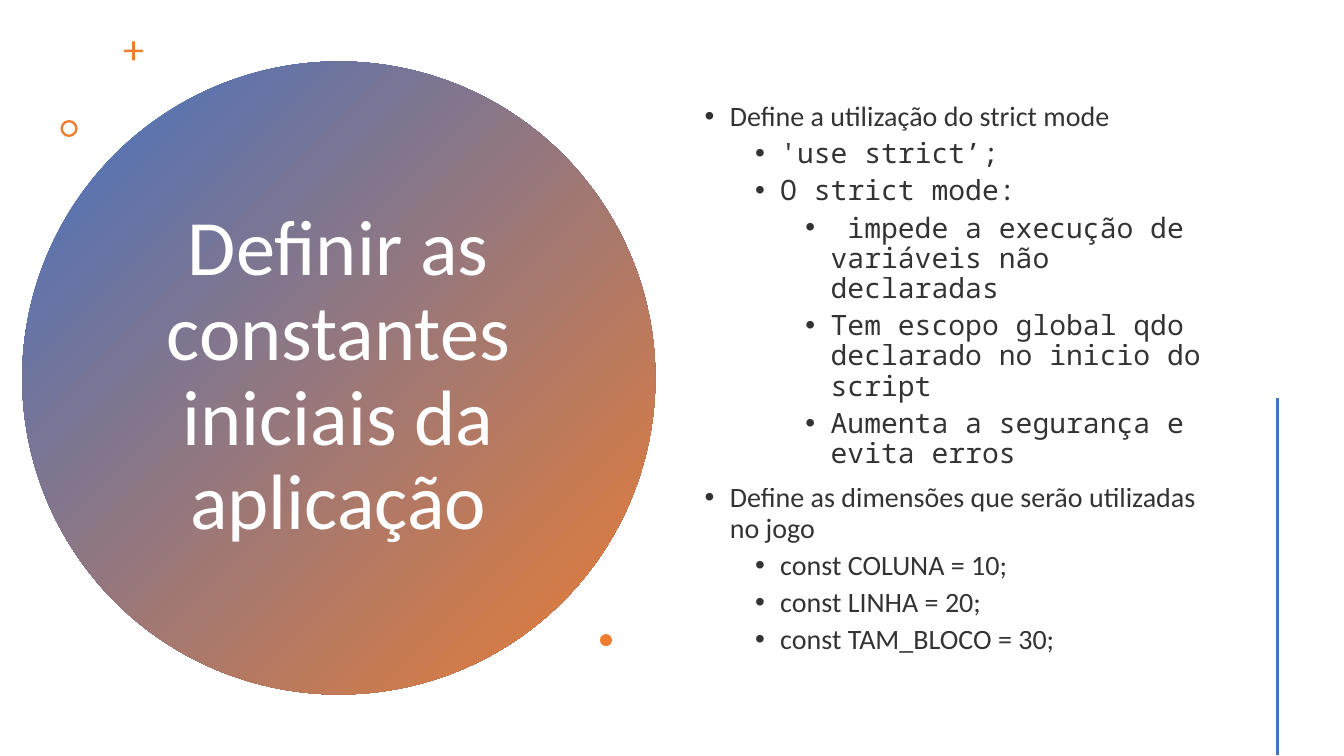
import pptx
import pptx.util
import pptx.dml.color
import pptx.enum.shapes
import pptx.enum.text
import pptx.oxml.ns
import lxml.etree

Inches = pptx.util.Inches
Pt = pptx.util.Pt
SHAPES = pptx.enum.shapes.MSO_SHAPE
COLOURS = {"blue": "4472C4", "orange": "ED7D31", "white": "FFFFFF", "black": "000000"}


def colour(name):
    return pptx.dml.color.RGBColor.from_string(COLOURS[name])


def add_child(parent, tag, **attributes):
    return lxml.etree.SubElement(parent, pptx.oxml.ns.qn(tag), **attributes)


deck = pptx.Presentation()
deck.slide_width = Inches(13.33)
deck.slide_height = Inches(7.5)
page = deck.slides.add_slide(deck.slide_layouts[5])

# Large gradient circle, placed behind the title
circle = page.shapes.add_shape(SHAPES.OVAL, Inches(0.22), Inches(0.61), Inches(6.28), Inches(6.28))
circle.shadow.inherit = False
circle.line.fill.background()
circle.fill.gradient()
circle.fill.gradient_angle = 315
for stop, name, position in zip(circle.fill.gradient_stops, ("blue", "orange"), (0, 1)):
    stop.color.rgb = colour(name)
    stop.position = position

# Title
title = page.shapes.title
circle._element.addnext(title._element)
title.left, title.top = Inches(1.36), Inches(1.41)
title.width, title.height = Inches(3.99), Inches(4.67)
title.text_frame.text = "Definir as constantes iniciais da aplicação"
title.text_frame.word_wrap = True
title.text_frame.auto_size = pptx.enum.text.MSO_AUTO_SIZE.NONE
title.text_frame.vertical_anchor = pptx.enum.text.MSO_ANCHOR.MIDDLE
para = title.text_frame.paragraphs[0]
para.alignment = pptx.enum.text.PP_ALIGN.CENTER
para.line_spacing = 0.9
span = para.runs[0]
span.font.size = Pt(56)
span.font.name = "Calibri"
span.font.color.rgb = colour("white")

# Small orange ornaments: kind, left, top, size, adjustment
ornaments = [
    (SHAPES.CROSS, 1.23, 0.41, 0.19, 0.43),
    (SHAPES.DONUT, 0.6, 1.19, 0.17, 0.14),
    (SHAPES.OVAL, 5.95, 6.29, 0.12, None),
]
for kind, left, top, size, adjustment in ornaments:
    ornament = page.shapes.add_shape(kind, Inches(left), Inches(top), Inches(size), Inches(size))
    ornament.shadow.inherit = False
    ornament.fill.solid()
    ornament.fill.fore_color.rgb = colour("orange")
    ornament.line.fill.background()
    if adjustment is not None:
        ornament.adjustments[0] = adjustment

# Bulleted text: level, font, wording
bullets = [
    (0, "Calibri", "Define a utilização do strict mode"),
    (1, "Noto Sans Mono", "'use strict’;"),
    (1, "Noto Sans Mono", "O strict mode:"),
    (2, "Noto Sans Mono", " impede a execução de variáveis não declaradas"),
    (2, "Noto Sans Mono", "Tem escopo global qdo declarado no inicio do script"),
    (2, "Noto Sans Mono", "Aumenta a segurança e evita erros"),
    (0, "Calibri", "Define as dimensões que serão utilizadas no jogo"),
    (1, "Calibri", "const COLUNA = 10;"),
    (1, "Calibri", "const LINHA = 20;"),
    (1, "Calibri", "const TAM_BLOCO = 30;"),
]
box = page.shapes.add_textbox(Inches(6.89), Inches(0.57), Inches(5.22), Inches(6.38))
frame = box.text_frame
frame.word_wrap = True
frame.vertical_anchor = pptx.enum.text.MSO_ANCHOR.MIDDLE
frame.text = "\n".join(wording for level, font, wording in bullets)
for para, (level, font, wording) in zip(frame.paragraphs, bullets):
    para.level = level
    para.line_spacing = 0.9
    para.space_before = Pt(5 if level else 10)
    properties = para._p.get_or_add_pPr()
    properties.set("marL", str(Inches(0.25 + 0.5 * level)))
    properties.set("indent", str(Inches(-0.25)))
    add_child(properties, "a:buFont", typeface="Arial")
    add_child(properties, "a:buChar", char="•")
    span = para.runs[0]
    span.font.size = Pt(20)
    span.font.name = font
    span.font.color.rgb = colour("black")
    # Text is 80 % opaque
    add_child(span._r.rPr.find(".//" + pptx.oxml.ns.qn("a:srgbClr")), "a:alpha", val="80000")

# Vertical accent line
accent = page.shapes.add_connector(
    pptx.enum.shapes.MSO_CONNECTOR.STRAIGHT, Inches(12.67), Inches(3.95), Inches(12.67), Inches(7.49))
accent.line.color.rgb = colour("blue")
accent.line.width = Pt(2)
add_child(accent._element.spPr, "a:effectLst")

deck.save("out.pptx")
